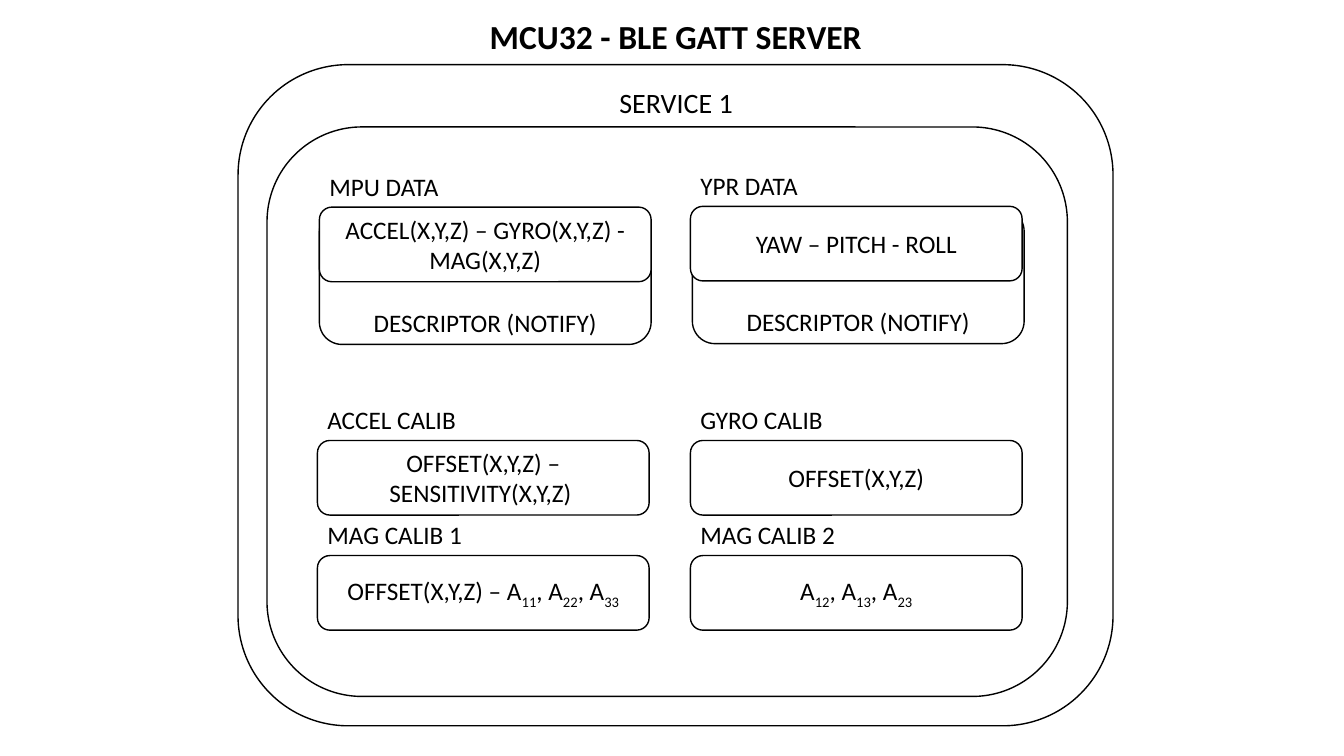
from pptx import Presentation
from pptx.dml.color import RGBColor
from pptx.enum import shapes, text
from pptx.util import Cm, Pt


def add_text(frame, content, size, align, bold=False):
    """Write one paragraph; pieces between bars are subscripts."""
    paragraph = frame.paragraphs[0]
    paragraph.alignment = align
    for i, piece in enumerate(content.split("|")):
        if not piece:
            continue
        run = paragraph.add_run()
        run.text = piece
        run.font.name = "Calibri"
        run.font.size = Pt(size)
        run.font.bold = bold
        run.font.color.rgb = RGBColor.from_string("000000")
        if i % 2:
            run._r.get_or_add_rPr().set("baseline", "-25000")


def add_box(left, top, width, height, fill="FFFFFF"):
    """Add a rounded box with a thin black outline."""
    box = slide.shapes.add_shape(shapes.MSO_SHAPE.ROUNDED_RECTANGLE,
                                 Cm(left), Cm(top), Cm(width), Cm(height))
    box.shadow.inherit = False
    if fill:
        box.fill.solid()
        box.fill.fore_color.rgb = RGBColor.from_string(fill)
    else:
        box.fill.background()
    box.line.color.rgb = RGBColor.from_string("000000")
    box.line.width = Pt(1)
    return box


deck = Presentation()
deck.slide_width, deck.slide_height = Cm(33.87), Cm(19.05)
slide = deck.slides.add_slide(deck.slide_layouts[6])
center, left_aligned = text.PP_ALIGN.CENTER, text.PP_ALIGN.LEFT
box_width, box_height, label_height = 8.36, 1.88, 1.03

# Descriptors lie behind their characteristics
for left, top in [(17.45, 5.26), (8.05, 5.28)]:
    descriptor = add_box(left, top, box_width, 3.4)
    descriptor.text_frame.word_wrap = True
    descriptor.text_frame.vertical_anchor = text.MSO_ANCHOR.BOTTOM
    descriptor.text_frame.margin_bottom = Cm(0.02)
    add_text(descriptor.text_frame, "DESCRIPTOR (NOTIFY)", 18, center)

# Server and service frames
add_box(6.0, 1.63, 22.05, 16.66, fill=None)
add_box(6.73, 3.2, 20.17, 14.35, fill=None)

# Characteristics: label, label width, value, left, top
characteristics = [
    ("MPU DATA", 3.28, "ACCEL(X,Y,Z) – GYRO(X,Y,Z) - MAG(X,Y,Z)", 8.05, 5.22),
    ("YPR DATA", 3.0, "YAW – PITCH - ROLL", 17.4, 5.2),
    ("ACCEL CALIB", 3.78, "OFFSET(X,Y,Z) – SENSITIVITY(X,Y,Z) ", 8.0, 11.1),
    ("GYRO CALIB", 3.63, "OFFSET(X,Y,Z)", 17.4, 11.1),
    ("MAG CALIB 1", 3.94, "OFFSET(X,Y,Z) – A|11|, A|22|, A|33|", 8.0, 14.0),
    ("MAG CALIB 2", 3.94, "A|12|, A|13|, A|23|", 17.4, 14.0),
]
captions = [
    ("MCU32 - BLE GATT SERVER", 11.53, 0.28, 11.0, 1.27, 24, center, True),
    ("SERVICE 1", 15.34, 2.03, 3.4, 1.12, 20, center, False),
]
for label, label_width, value, left, top in characteristics:
    characteristic = add_box(left, top, box_width, box_height)
    characteristic.text_frame.word_wrap = True
    characteristic.text_frame.vertical_anchor = text.MSO_ANCHOR.MIDDLE
    add_text(characteristic.text_frame, value, 18, center)
    captions.append((label, left, top - label_height, label_width,
                     label_height, 18, left_aligned, False))

for label, left, top, width, height, size, align, bold in captions:
    caption = slide.shapes.add_textbox(Cm(left), Cm(top), Cm(width), Cm(height))
    caption.text_frame.word_wrap = False
    caption.text_frame.auto_size = text.MSO_AUTO_SIZE.SHAPE_TO_FIT_TEXT
    add_text(caption.text_frame, label, size, align, bold)

deck.save("out.pptx")
